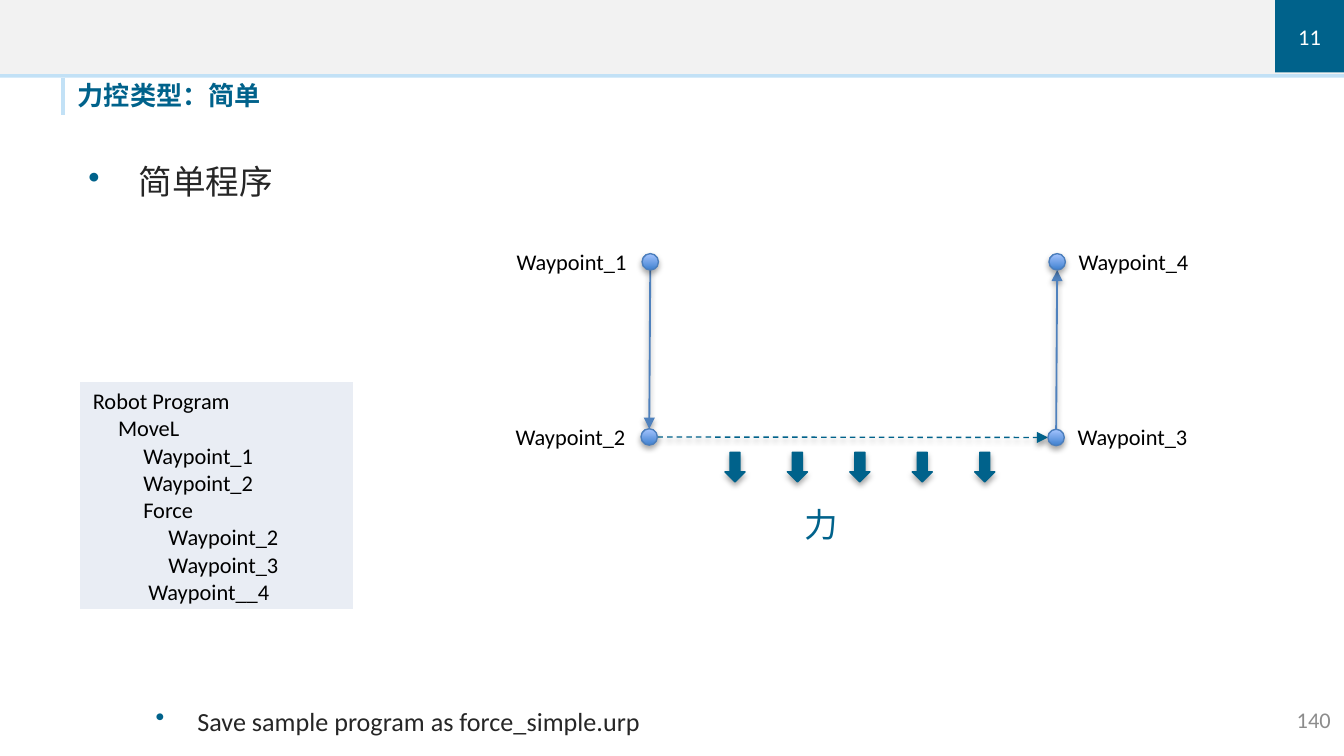
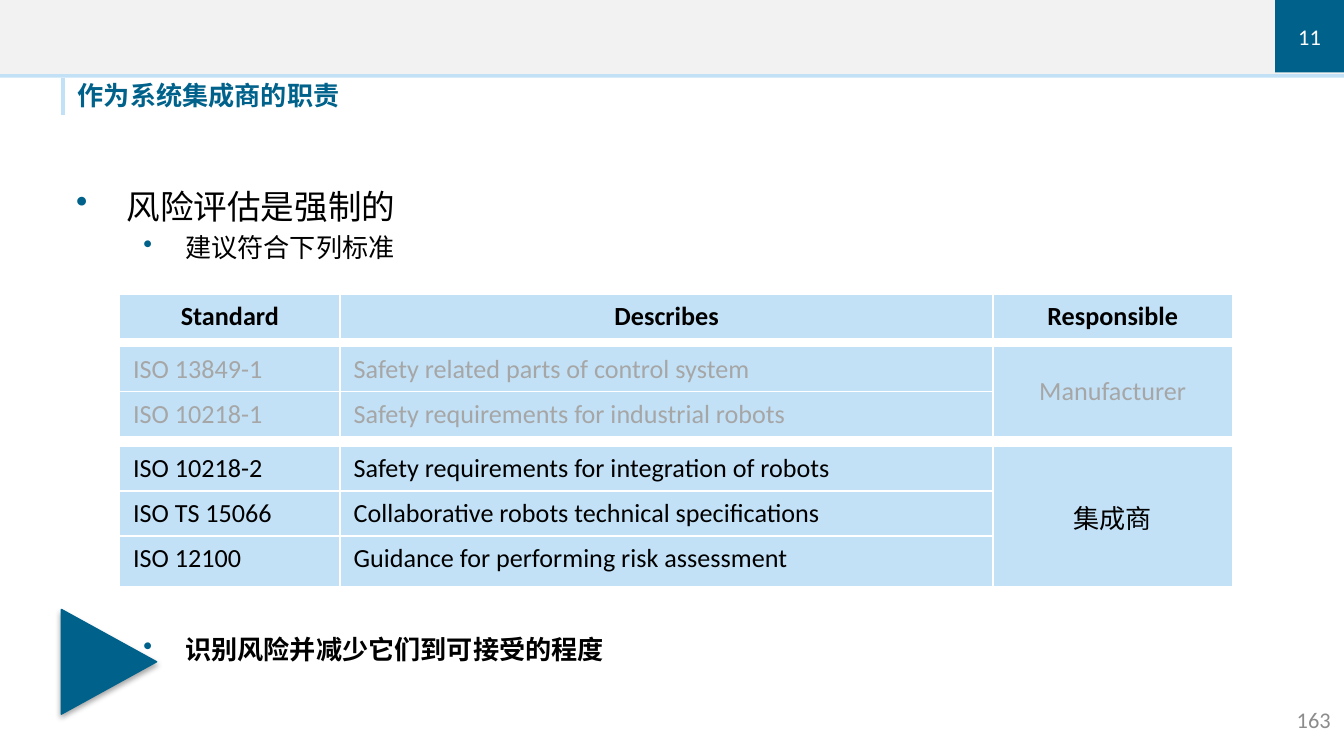
from math import hypot

from lxml.etree import SubElement
from pptx import Presentation
from pptx.dml.color import RGBColor
from pptx.enum.dml import MSO_LINE
from pptx.enum.shapes import MSO_CONNECTOR, MSO_SHAPE
from pptx.enum.text import MSO_ANCHOR, PP_ALIGN
from pptx.oxml.ns import qn
from pptx.util import Cm, Pt

TEAL = RGBColor(0x00, 0x62, 0x8B)
SKY = RGBColor(0xC2, 0xE1, 0xF6)
PALE = RGBColor(0xF2, 0xF2, 0xF2)
MIST = RGBColor(0xE9, 0xED, 0xF4)
WHITE = RGBColor(0xFF, 0xFF, 0xFF)
BLACK = RGBColor(0x00, 0x00, 0x00)
DARK = RGBColor(0x26, 0x26, 0x26)
GREY = RGBColor(0x8C, 0x8C, 0x8C)
DIM = RGBColor(0xA6, 0xA6, 0xA6)
BLUE = RGBColor(0x4F, 0x81, 0xBD)
RIM = RGBColor(0x4B, 0x7E, 0xBC)
DEEP = RGBColor(0x3F, 0x80, 0xCE)
LIGHT = RGBColor(0xA4, 0xC4, 0xFF)

FONT = "Calibri"
WIDTH, HEIGHT = 25.4, 14.29
CHAPTER = "11"
LEFT, CENTER, RIGHT = PP_ALIGN.LEFT, PP_ALIGN.CENTER, PP_ALIGN.RIGHT

# Bullets: level -> (text indent, hanging part, size)
LEVELS = [(0.95, 0.95, 18), (2.06, 0.79, 14)]

FORCE = {
    "title": "力控类型：简单",
    "page": "140",
    # left, top, colour, [(level, text, bold)]
    "bullets": [
        (1.42, 2.92, DARK, [(0, "简单程序", False)]),
        (1.42, 13.2, DARK, [(1, "Save sample program as force_simple.urp", False)]),
    ],
}
PROGRAM = """Robot Program
     MoveL
          Waypoint_1
          Waypoint_2
          Force
               Waypoint_2
               Waypoint_3
           Waypoint__4"""

# Name -> centre of the dot and whether its label stands on the left
POINTS = {
    "Waypoint_1": (12.29, 4.95, True),
    "Waypoint_2": (12.27, 8.26, True),
    "Waypoint_3": (19.96, 8.27, False),
    "Waypoint_4": (19.98, 4.95, False),
}
MOVES = [
    ("Waypoint_1", "Waypoint_2", BLUE, 1, None),
    ("Waypoint_2", "Waypoint_3", TEAL, 0.75, MSO_LINE.DASH),
    ("Waypoint_3", "Waypoint_4", BLUE, 1, None),
]
RADIUS = 0.155

DUTY = {
    "title": "作为系统集成商的职责",
    "page": "163",
    "bullets": [
        (1.19, 3.39, BLACK, [(0, "风险评估是强制的", False),
                             (1, "建议符合下列标准", False)]),
        (1.19, 11.85, BLACK, [(1, "识别风险并减少它们到可接受的程度", True)]),
    ],
}
COLS = [4.17, 12.34, 4.52]
HEAD = [("Standard", "Describes", "Responsible")]
MAKER = [
    ("ISO 13849-1", "Safety related parts of control system", "Manufacturer"),
    ("ISO 10218-1", "Safety requirements for industrial robots", ""),
]
JOINER = [
    ("ISO 10218-2", "Safety requirements for integration of robots", "集成商"),
    ("ISO TS 15066", "Collaborative robots technical specifications", ""),
    ("ISO 12100", "Guidance for performing risk assessment", ""),
]
# top, rows, row heights, text colour, is header
TABLES = [
    (5.56, HEAD, [0.85], BLACK, True),
    (6.55, MAKER, [0.85] * 2, DIM, False),
    (8.43, JOINER, [0.85, 0.85, 0.97], BLACK, False),
]


def write(para, text, size, color, bold=False, align=LEFT):
    para.alignment = align
    run = para.add_run()
    run.text = text
    font = run.font
    font.name, font.size, font.bold = FONT, Pt(size), bold
    font.color.rgb = color


def label(slide, box, text, size, color, bold=False, align=LEFT,
          wrap=True, anchor=MSO_ANCHOR.TOP):
    frame = slide.shapes.add_textbox(*map(Cm, box)).text_frame
    frame.word_wrap = wrap
    frame.vertical_anchor = anchor
    write(frame.paragraphs[0], text, size, color, bold, align)
    return frame


def inset(frame, bottom=0):
    frame.margin_left = frame.margin_top = frame.margin_right = 0
    frame.margin_bottom = Cm(bottom)


def shade(item, alpha, dist):
    """Give a soft shadow straight below; without alpha, none at all."""
    props = item._element.spPr
    effect = props.find(qn("a:effectLst"))
    if effect is None:
        effect = SubElement(props, qn("a:effectLst"))
    if alpha:
        outer = SubElement(effect, qn("a:outerShdw"), blurRad=str(Pt(3.1)),
                           dist=str(Pt(dist)), dir="5400000", rotWithShape="0")
        tone = SubElement(outer, qn("a:srgbClr"), val=str(BLACK))
        SubElement(tone, qn("a:alpha"), val=str(alpha * 1000))


def shape(slide, kind, box, fill, line=None, turn=0):
    """Add a shape; a list fill is a gradient, an outline brings a shadow."""
    item = slide.shapes.add_shape(kind, *map(Cm, box))
    item.rotation = turn
    item.shadow.inherit = False
    if isinstance(fill, list):
        item.fill.gradient()
        item.fill.gradient_angle = 90
        for stop, color in zip(item.fill.gradient_stops, fill):
            stop.color.rgb = color
    else:
        item.fill.solid()
        item.fill.fore_color.rgb = fill
    if line is None:
        item.line.fill.background()
    else:
        item.line.color.rgb = line
        item.line.width = Pt(0.75)
        shade(item, 35, 1.8)
    return item


def link(slide, start, end, color, width, dash=None, arrow=False):
    item = slide.shapes.add_connector(
        MSO_CONNECTOR.STRAIGHT, *map(Cm, (*start, *end)))
    item.line.color.rgb = color
    item.line.width = Pt(width)
    if dash:
        item.line.dash_style = dash
    if arrow:
        SubElement(item.line._ln, qn("a:tailEnd"), type="triangle")
    shade(item, 38 if arrow else 0, 1.6)


def bullets(slide, left, top, color, items):
    box = slide.shapes.add_textbox(Cm(left), Cm(top), Cm(22.5), Cm(0.9))
    frame = box.text_frame
    frame.word_wrap = True
    for i, (level, text, bold) in enumerate(items):
        para = frame.add_paragraph() if i else frame.paragraphs[0]
        indent, hang, size = LEVELS[level]
        para.level = level
        if i:
            para.space_before = Pt(0.2 * size)
        props = para._p.get_or_add_pPr()
        props.set("marL", str(Cm(indent)))
        props.set("indent", str(-Cm(hang)))
        tone = SubElement(props, qn("a:buClr"))
        SubElement(tone, qn("a:srgbClr"), val=str(TEAL))
        SubElement(props, qn("a:buChar"), char="•")
        write(para, text, size, color, bold)


def paint(cell, fill):
    """Fill a cell and draw thin white borders round it."""
    cell.fill.solid()
    cell.fill.fore_color.rgb = fill
    props = cell._tc.get_or_add_tcPr()
    for i, side in enumerate("LRTB"):
        line = SubElement(props, qn("a:ln" + side), w=str(Pt(1)))
        solid = SubElement(line, qn("a:solidFill"))
        SubElement(solid, qn("a:srgbClr"), val=str(WHITE))
        props.insert(i, line)


def grid(slide, left, top, cols, rows, fill):
    """Add a plain table with the given column widths and row heights."""
    table = slide.shapes.add_table(
        len(rows), len(cols), Cm(left), Cm(top),
        Cm(sum(cols)), Cm(sum(rows))).table
    table.first_row = table.horz_banding = False
    for col, width in zip(table.columns, cols):
        col.width = Cm(width)
    for row, height in zip(table.rows, rows):
        row.height = Cm(height)
    for cell in table.iter_cells():
        paint(cell, fill)
    return table


def start(deck, data):
    """Add a slide with the bands, title, page number and bullets."""
    slide = deck.slides.add_slide(deck.slide_layouts[6])
    for height, color in ((1.47, SKY), (1.4, PALE)):
        shape(slide, MSO_SHAPE.RECTANGLE, (0, 0, WIDTH, height), color)
    link(slide, (1.19, 1.47), (1.19, 2.18), SKY, 2.5)
    badge = shape(slide, MSO_SHAPE.RECTANGLE, (24.1, 0, 1.3, 1.37), TEAL)
    frame = badge.text_frame
    inset(frame)
    frame.vertical_anchor = MSO_ANCHOR.MIDDLE
    write(frame.paragraphs[0], CHAPTER, 12, WHITE, align=CENTER)
    inset(label(slide, (1.47, 1.5, 11.2, 0.71), data["title"], 14, TEAL, True), 0.1)
    label(slide, (22.86, 13.23, 2.54, 0.76), data["page"], 12, GREY,
          align=RIGHT, anchor=MSO_ANCHOR.MIDDLE)
    for block in data["bullets"]:
        bullets(slide, *block)
    return slide


def rim(here, there):
    """Point on the edge of one dot that faces another."""
    (x, y, _), (to_x, to_y, _) = POINTS[here], POINTS[there]
    part = RADIUS / hypot(to_x - x, to_y - y)
    return x + (to_x - x) * part, y + (to_y - y) * part


def draw_force(deck):
    slide = start(deck, FORCE)
    frame = grid(slide, 1.5, 7.21, [5.18], [4.32], MIST).cell(0, 0).text_frame
    for i, line in enumerate(PROGRAM.splitlines()):
        para = frame.add_paragraph() if i else frame.paragraphs[0]
        write(para, line, 12, BLACK)
    for a, b, color, width, dash in MOVES:
        link(slide, rim(a, b), rim(b, a), color, width, dash, arrow=True)
    wide = 2.62
    for name, (x, y, on_left) in POINTS.items():
        shape(slide, MSO_SHAPE.OVAL,
              (x - RADIUS, y - RADIUS, 2 * RADIUS, 2 * RADIUS),
              [DEEP, LIGHT], RIM)
        left = x - RADIUS - wide if on_left else x + RADIUS
        label(slide, (left, y - 0.39, wide, 0.76), name, 12, BLACK, wrap=False)
    for i in range(5):
        shape(slide, MSO_SHAPE.RIGHT_ARROW, (13.61 + 1.18 * i, 8.64, 0.56, 0.38),
              TEAL, TEAL, 90)
    label(slide, (14.96, 9.4, wide, 1.02), "力", 18, TEAL)


def draw_duty(deck):
    slide = start(deck, DUTY)
    shape(slide, MSO_SHAPE.ISOSCELES_TRIANGLE, (1.07, 11.61, 1.98, 1.8),
          TEAL, TEAL, 90)
    for top, rows, heights, color, head in TABLES:
        table = grid(slide, 2.26, top, COLS, heights, SKY)
        for r, row in enumerate(rows):
            for c, text in enumerate(row):
                if text:
                    align = CENTER if head or c == 2 else LEFT
                    para = table.cell(r, c).text_frame.paragraphs[0]
                    write(para, text, 14, color, head, align)
        if not head:
            owner = table.cell(0, 2)
            owner.merge(table.cell(len(rows) - 1, 2))
            owner.vertical_anchor = MSO_ANCHOR.MIDDLE


def main():
    deck = Presentation()
    deck.slide_width, deck.slide_height = Cm(WIDTH), Cm(HEIGHT)
    draw_force(deck)
    draw_duty(deck)
    deck.save("out.pptx")


if __name__ == "__main__":
    main()
